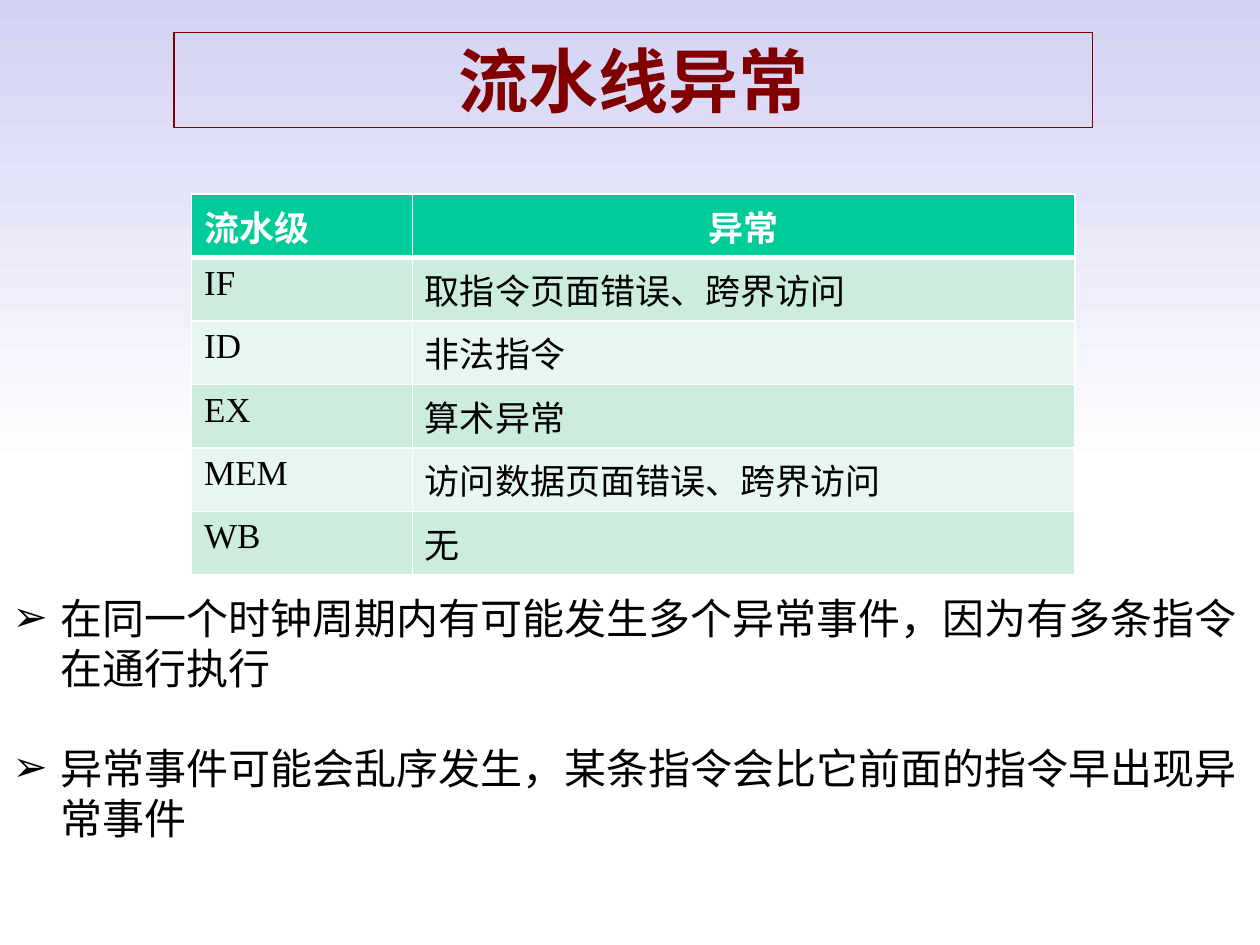
from lxml.etree import SubElement
from pptx import Presentation
from pptx.dml.color import RGBColor
from pptx.enum.text import MSO_ANCHOR, MSO_AUTO_SIZE, PP_ALIGN
from pptx.oxml.ns import qn
from pptx.util import Inches, Pt

MAROON = RGBColor(0x80, 0x00, 0x00)
BLACK = RGBColor(0x00, 0x00, 0x00)
WHITE = RGBColor(0xFF, 0xFF, 0xFF)
LAVENDER = RGBColor(0xD2, 0xD2, 0xF4)
GREEN = RGBColor(0x00, 0xCC, 0x99)
BANDS = (RGBColor(0xCC, 0xEC, 0xDE), RGBColor(0xE7, 0xF6, 0xEF))

# Regions as left, top, width, height in inches
TITLE_BOX = (1.38, 0.26, 7.29, 0.75)
TABLE_BOX = (1.52, 1.54, 7.01, 2.73)
BODY_BOX = (0, 4.65, 10, 2.12)

TITLE = "流水线异常"
STAGE_ROWS = (
    ("流水级", "异常"),
    ("IF", "取指令页面错误、跨界访问"),
    ("ID", "非法指令"),
    ("EX", "算术异常"),
    ("MEM", "访问数据页面错误、跨界访问"),
    ("WB", "无"),
)
POINTS = (
    "在同一个时钟周期内有可能发生多个异常事件，因为有多条指令在通行执行",
    "异常事件可能会乱序发生，某条指令会比它前面的指令早出现异常事件",
)


def set_attributes(target, **values):
    for name, value in values.items():
        setattr(target, name, value)


def place(shape, box):
    names = ("left", "top", "width", "height")
    set_attributes(shape, **dict(zip(names, map(Inches, box))))


def format_font(font, name, size, color, bold=False):
    set_attributes(font, name=name, size=Pt(size), bold=bold)
    font.color.rgb = color


def paint_background(slide):
    fill = slide.background.fill
    fill.gradient()
    fill.gradient_angle = 270
    for stop, color, position in zip(fill.gradient_stops, (LAVENDER, WHITE), (0, 0.5)):
        stop.color.rgb = color
        stop.position = position


def fill_title(shape, box):
    place(shape, box)
    shape.line.color.rgb = MAROON
    shape.line.width = Pt(0.75)
    frame = shape.text_frame
    set_attributes(frame, text=TITLE, auto_size=MSO_AUTO_SIZE.NONE,
                   vertical_anchor=MSO_ANCHOR.MIDDLE)
    paragraph = frame.paragraphs[0]
    paragraph.alignment = PP_ALIGN.CENTER
    format_font(paragraph.runs[0].font, "Arial", 40, MAROON, True)


def set_borders(cell, **widths):
    properties = cell._tc.get_or_add_tcPr()
    for position, (side, width) in enumerate(widths.items()):
        line = properties.makeelement(qn(f"a:ln{side}"), {"w": str(Pt(width))})
        fill = SubElement(line, qn("a:solidFill"))
        SubElement(fill, qn("a:srgbClr"), val=str(WHITE))
        properties.insert(position, line)


def add_stage_table(slide, box):
    left, top, width, height = map(Inches, box)
    table = slide.shapes.add_table(len(STAGE_ROWS), 2, left, top, width, height).table
    for column, share in zip(table.columns, (0.25, 0.75)):
        column.width = int(width * share)
    for row, texts in enumerate(STAGE_ROWS):
        header = row == 0
        for column, text in enumerate(texts):
            cell = table.cell(row, column)
            cell.text = text
            cell.fill.solid()
            cell.fill.fore_color.rgb = GREEN if header else BANDS[(row - 1) % 2]
            # The rule under the header is thicker than the grid
            set_borders(cell, L=1, R=1, T=3 if row == 1 else 1, B=3 if header else 1)
            paragraph = cell.text_frame.paragraphs[0]
            if header and column == 1:
                paragraph.alignment = PP_ALIGN.CENTER
            format_font(paragraph.runs[0].font, "Times New Roman", 20,
                        WHITE if header else BLACK, header)


def set_bullet(paragraph, character, indent):
    properties = paragraph._p.get_or_add_pPr()
    properties.set("marL", str(Inches(indent)))
    properties.set("indent", str(-Inches(indent)))
    SubElement(properties, qn("a:buChar"), char=character)


def fill_points(shape, box):
    place(shape, box)
    frame = shape.text_frame
    set_attributes(frame, text="\n".join(POINTS), word_wrap=True,
                   auto_size=MSO_AUTO_SIZE.NONE, vertical_anchor=MSO_ANCHOR.TOP)
    for index, paragraph in enumerate(frame.paragraphs):
        set_attributes(paragraph, alignment=PP_ALIGN.LEFT,
                       space_before=Pt(28 if index else 0), space_after=Pt(0))
        set_bullet(paragraph, "➢", 0.38)
        format_font(paragraph.runs[0].font, "Times New Roman", 24, BLACK)


def main():
    presentation = Presentation()
    set_attributes(presentation, slide_width=Inches(10), slide_height=Inches(7.5))
    slide = presentation.slides.add_slide(presentation.slide_layouts[1])
    paint_background(slide)
    fill_title(slide.shapes.title, TITLE_BOX)
    fill_points(slide.placeholders[1], BODY_BOX)
    add_stage_table(slide, TABLE_BOX)
    presentation.save("out.pptx")


if __name__ == "__main__":
    main()
